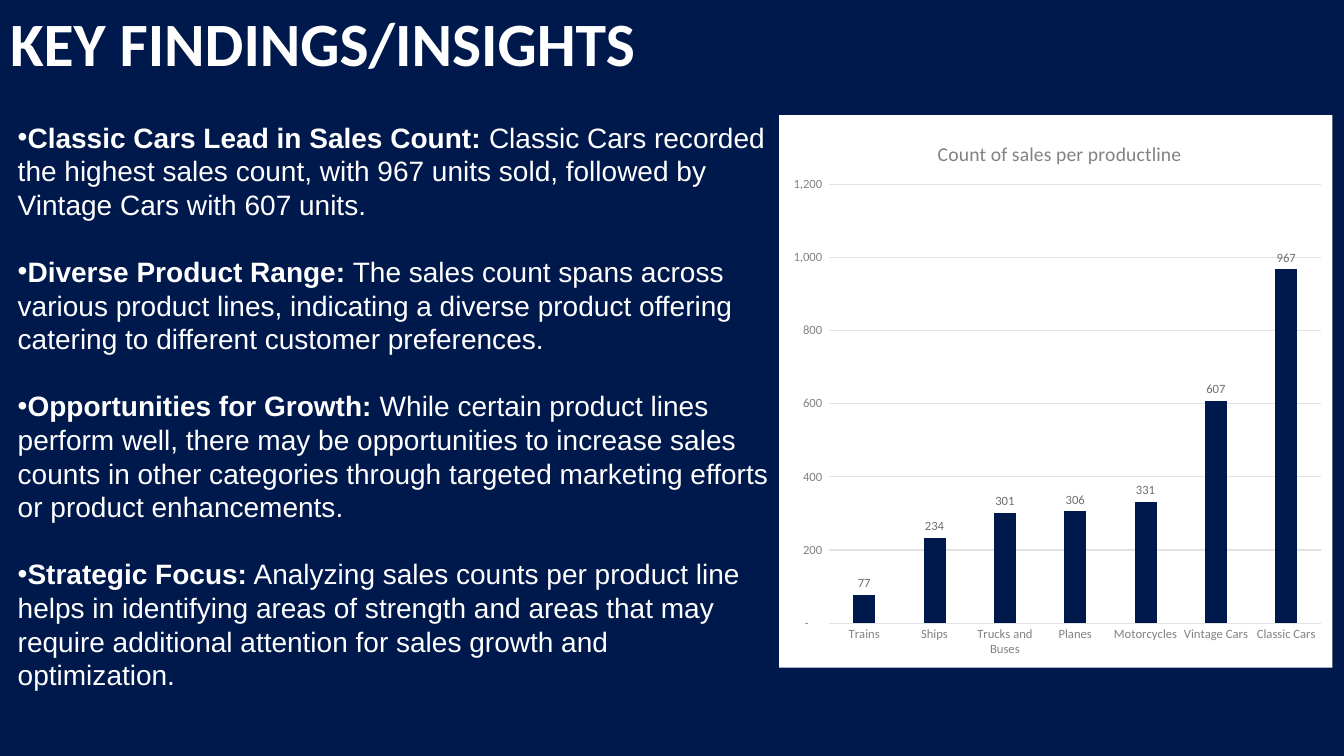
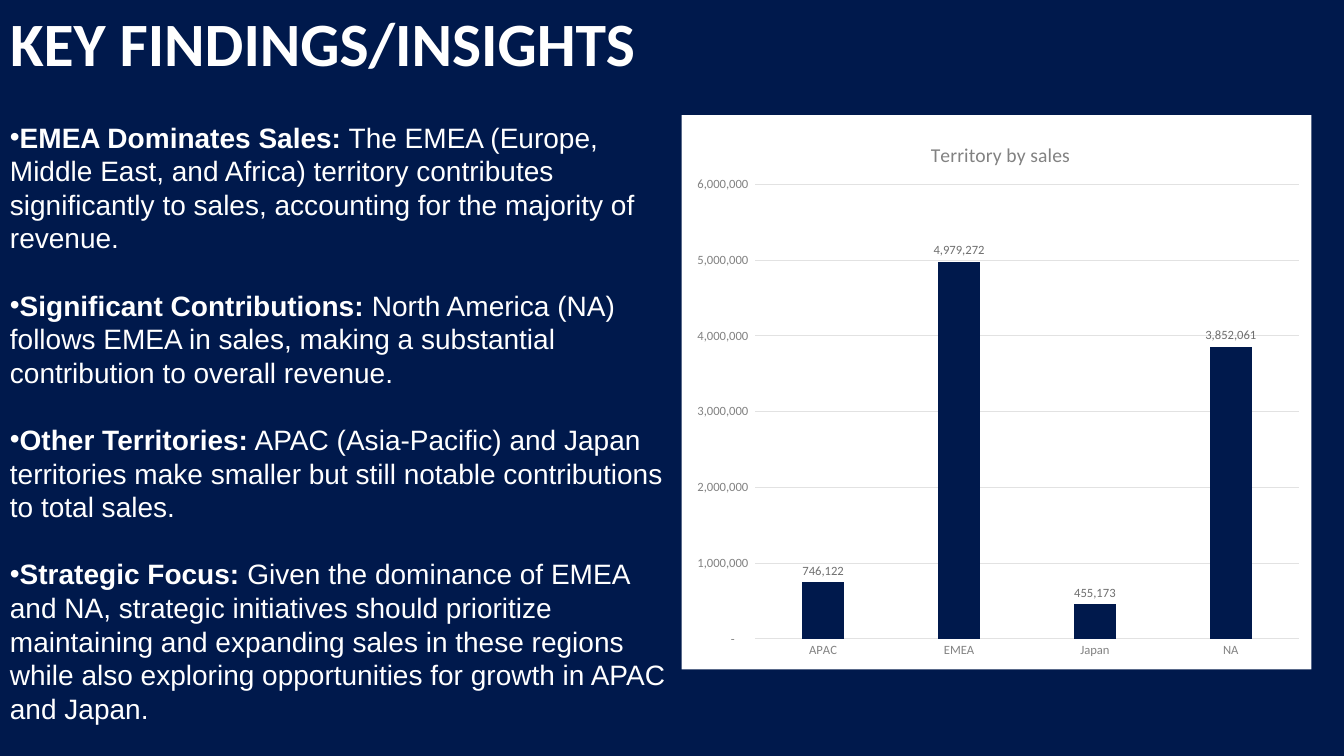
from dataclasses import dataclass

from lxml.etree import SubElement
from pptx import Presentation
from pptx.chart.chart import Chart
from pptx.chart.data import CategoryChartData
from pptx.dml.color import RGBColor
from pptx.enum.chart import XL_CHART_TYPE, XL_LABEL_POSITION, XL_TICK_MARK
from pptx.enum.text import MSO_ANCHOR, MSO_AUTO_SIZE, PP_ALIGN
from pptx.oxml import parse_xml
from pptx.oxml.ns import nsdecls, qn
from pptx.presentation import Presentation as Deck
from pptx.slide import Slide
from pptx.text.text import Font
from pptx.util import Pt


@dataclass(frozen=True)
class Theme:
    navy: RGBColor = RGBColor.from_string("00194C")
    white: RGBColor = RGBColor.from_string("FFFFFF")
    axis_gray: RGBColor = RGBColor.from_string("828282")
    label_gray: RGBColor = RGBColor.from_string("6F6F6F")
    grid_gray: RGBColor = RGBColor.from_string("E2E2E2")
    heading_font: str = "Calibri"
    body_font: str = "Arial"
    title_size: float = 44
    body_size: float = 20
    body_line: float = 24
    chart_title_size: float = 14
    chart_size: float = 9
    line_width: float = 0.75


@dataclass(frozen=True)
class Box:
    left: float
    top: float
    width: float
    height: float

    @property
    def lengths(self) -> tuple[Pt, Pt, Pt, Pt]:
        return Pt(self.left), Pt(self.top), Pt(self.width), Pt(self.height)


@dataclass(frozen=True)
class Finding:
    heading: str
    detail: str


@dataclass(frozen=True)
class SalesChart:
    title: str
    values: dict[str, int]
    axis_max: int
    axis_step: int
    box: Box
    title_at: tuple[float, float]
    plot: Box  # fractions of the chart area


@dataclass(frozen=True)
class Insight:
    text_box: Box
    findings: list[Finding]
    chart: SalesChart


THEME = Theme()
TITLE = "KEY FINDINGS/INSIGHTS"
TITLE_BOX = Box(0, 0, 480, 82)
CONTENT_TOP = 82.2
NUMBER_FORMAT = r'_-* #,##0_-;\-* #,##0_-;_-* "-"??_-;_-@_'

INSIGHTS = [
    Insight(
        Box(5.6, CONTENT_TOP, 551, 424),
        [
            Finding("Classic Cars Lead in Sales Count:",
                    " Classic Cars recorded the highest sales count, with 967 units sold, "
                    "followed by Vintage Cars with 607 units."),
            Finding("Diverse Product Range:",
                    " The sales count spans across various product lines, indicating a diverse "
                    "product offering catering to different customer preferences."),
            Finding("Opportunities for Growth:",
                    " While certain product lines perform well, there may be opportunities to "
                    "increase sales counts in other categories through targeted marketing "
                    "efforts or product enhancements."),
            Finding("Strategic Focus:",
                    " Analyzing sales counts per product line helps in identifying areas of "
                    "strength and areas that may require additional attention for sales growth "
                    "and optimization."),
        ],
        SalesChart(
            "Count of sales per productline",
            {"Trains": 77, "Ships": 234, "Trucks and Buses": 301, "Planes": 306,
             "Motorcycles": 331, "Vintage Cars": 607, "Classic Cars": 967},
            1200, 200, Box(556.6, CONTENT_TOP, 395.2, 394.6),
            (0.28, 0.04), Box(0.09, 0.125, 0.89, 0.795),
        ),
    ),
    Insight(
        Box(0, CONTENT_TOP, 486.8, 457.8),
        [
            Finding("EMEA Dominates Sales:",
                    " The EMEA (Europe, Middle East, and Africa) territory contributes "
                    "significantly to sales, accounting for the majority of revenue."),
            Finding("Significant Contributions:",
                    " North America (NA) follows EMEA in sales, making a substantial "
                    "contribution to overall revenue."),
            Finding("Other Territories:",
                    " APAC (Asia-Pacific) and Japan territories make smaller but still notable "
                    "contributions to total sales."),
            Finding("Strategic Focus:",
                    " Given the dominance of EMEA and NA, strategic initiatives should "
                    "prioritize maintaining and expanding sales in these regions while also "
                    "exploring opportunities for growth in APAC and Japan."),
        ],
        SalesChart(
            "Territory by sales",
            {"APAC": 746122, "EMEA": 4979272, "Japan": 455173, "NA": 3852061},
            6000000, 1000000, Box(486.8, CONTENT_TOP, 450, 396),
            (0.39, 0.04), Box(0.117, 0.125, 0.863, 0.82),
        ),
    ),
]


def style_font(font: Font, name: str, size: float, color: RGBColor, bold: bool = False) -> None:
    font.name, font.size, font.bold = name, Pt(size), bold
    font.color.rgb = color


def add_title(slide: Slide) -> None:
    sp = slide.shapes.title
    sp.left, sp.top, sp.width, sp.height = TITLE_BOX.lengths
    tf = sp.text_frame
    tf.auto_size = MSO_AUTO_SIZE.NONE
    tf.word_wrap = True
    tf.vertical_anchor = MSO_ANCHOR.TOP
    p = tf.paragraphs[0]
    p.alignment = PP_ALIGN.LEFT
    r = p.add_run()
    r.text = TITLE
    style_font(r.font, THEME.heading_font, THEME.title_size, THEME.white, bold=True)


def add_findings(slide: Slide, box: Box, findings: list[Finding]) -> None:
    tf = slide.shapes.add_textbox(*box.lengths).text_frame
    tf.word_wrap = True
    for i, finding in enumerate(findings):
        p = tf.add_paragraph() if i else tf.paragraphs[0]
        p.line_spacing = Pt(THEME.body_line)
        if i:
            p.space_before = Pt(THEME.body_line)
        pPr = p._p.get_or_add_pPr()
        pPr.set("marL", "0")
        pPr.set("indent", "0")
        SubElement(pPr, qn("a:buFont"), typeface=THEME.body_font)
        SubElement(pPr, qn("a:buChar"), char="•")
        for text, bold in ((finding.heading, True), (finding.detail, False)):
            r = p.add_run()
            r.text = text
            style_font(r.font, THEME.body_font, THEME.body_size, THEME.white, bold)


def fill_chart_area(chart: Chart) -> None:
    chart._chartSpace.find(qn("c:chart")).addnext(parse_xml(
        f'<c:spPr {nsdecls("c", "a")}><a:solidFill><a:srgbClr val="{THEME.white}"/>'
        "</a:solidFill><a:ln><a:noFill/></a:ln></c:spPr>"))


def set_layouts(chart: Chart, title_at: tuple[float, float], plot: Box) -> None:
    """Place the chart title and the inner plot area by fractions of the chart."""
    def layout(target: str, **fractions: float):
        modes = "".join(f'<c:{k}Mode val="edge"/>' for k in ("x", "y"))
        places = "".join(f'<c:{k} val="{v}"/>' for k, v in fractions.items())
        return parse_xml(f'<c:layout {nsdecls("c")}><c:manualLayout>{target}{modes}{places}'
                         "</c:manualLayout></c:layout>")

    title = chart.chart_title._element
    area = chart._chartSpace.find(qn("c:chart")).find(qn("c:plotArea"))
    for parent in (title, area):
        for old in parent.findall(qn("c:layout")):
            parent.remove(old)
    title.find(qn("c:tx")).addnext(layout("", x=title_at[0], y=title_at[1]))
    area.insert(0, layout('<c:layoutTarget val="inner"/>', x=plot.left, y=plot.top,
                          w=plot.width, h=plot.height))


def add_sales_chart(slide: Slide, sales: SalesChart) -> None:
    data = CategoryChartData()
    data.categories = list(sales.values)
    data.add_series("Series 1", list(sales.values.values()))
    chart = slide.shapes.add_chart(
        XL_CHART_TYPE.COLUMN_CLUSTERED, *sales.box.lengths, data).chart
    style_font(chart.font, THEME.heading_font, THEME.chart_size, THEME.axis_gray)
    chart.has_legend = False

    chart.has_title = True
    p = chart.chart_title.text_frame.paragraphs[0]
    r = p.add_run()
    r.text = sales.title
    style_font(r.font, THEME.heading_font, THEME.chart_title_size, THEME.axis_gray)
    chart.chart_title.include_in_layout = False

    category_axis, value_axis = chart.category_axis, chart.value_axis
    for axis in (category_axis, value_axis):
        axis.major_tick_mark = axis.minor_tick_mark = XL_TICK_MARK.NONE
        style_font(axis.tick_labels.font, THEME.heading_font, THEME.chart_size, THEME.axis_gray)
    value_axis.minimum_scale, value_axis.maximum_scale = 0, sales.axis_max
    value_axis.major_unit = sales.axis_step
    value_axis.tick_labels.number_format = NUMBER_FORMAT
    value_axis.tick_labels.number_format_is_linked = False
    value_axis.format.line.fill.background()
    for line in (category_axis.format.line, value_axis.major_gridlines.format.line):
        line.color.rgb = THEME.grid_gray
        line.width = Pt(THEME.line_width)

    plot = chart.plots[0]
    plot.vary_by_categories = False
    plot.gap_width, plot.overlap = 219, -27
    fill = plot.series[0].format.fill
    fill.solid()
    fill.fore_color.rgb = THEME.navy
    plot.has_data_labels = True
    labels = plot.data_labels
    labels.show_value = True
    labels.position = XL_LABEL_POSITION.OUTSIDE_END
    labels.number_format = NUMBER_FORMAT
    labels.number_format_is_linked = False
    style_font(labels.font, THEME.heading_font, THEME.chart_size, THEME.label_gray)

    fill_chart_area(chart)
    set_layouts(chart, sales.title_at, sales.plot)


def add_insight_slide(prs: Deck, insight: Insight) -> None:
    slide = prs.slides.add_slide(prs.slide_layouts.get_by_name("Title Only"))
    add_title(slide)
    add_findings(slide, insight.text_box, insight.findings)
    add_sales_chart(slide, insight.chart)


def main() -> None:
    prs = Presentation()
    prs.slide_width, prs.slide_height = Pt(960), Pt(540)
    background = prs.slide_master.background.fill
    background.solid()
    background.fore_color.rgb = THEME.navy
    for insight in INSIGHTS:
        add_insight_slide(prs, insight)
    prs.save("out.pptx")


if __name__ == "__main__":
    main()
